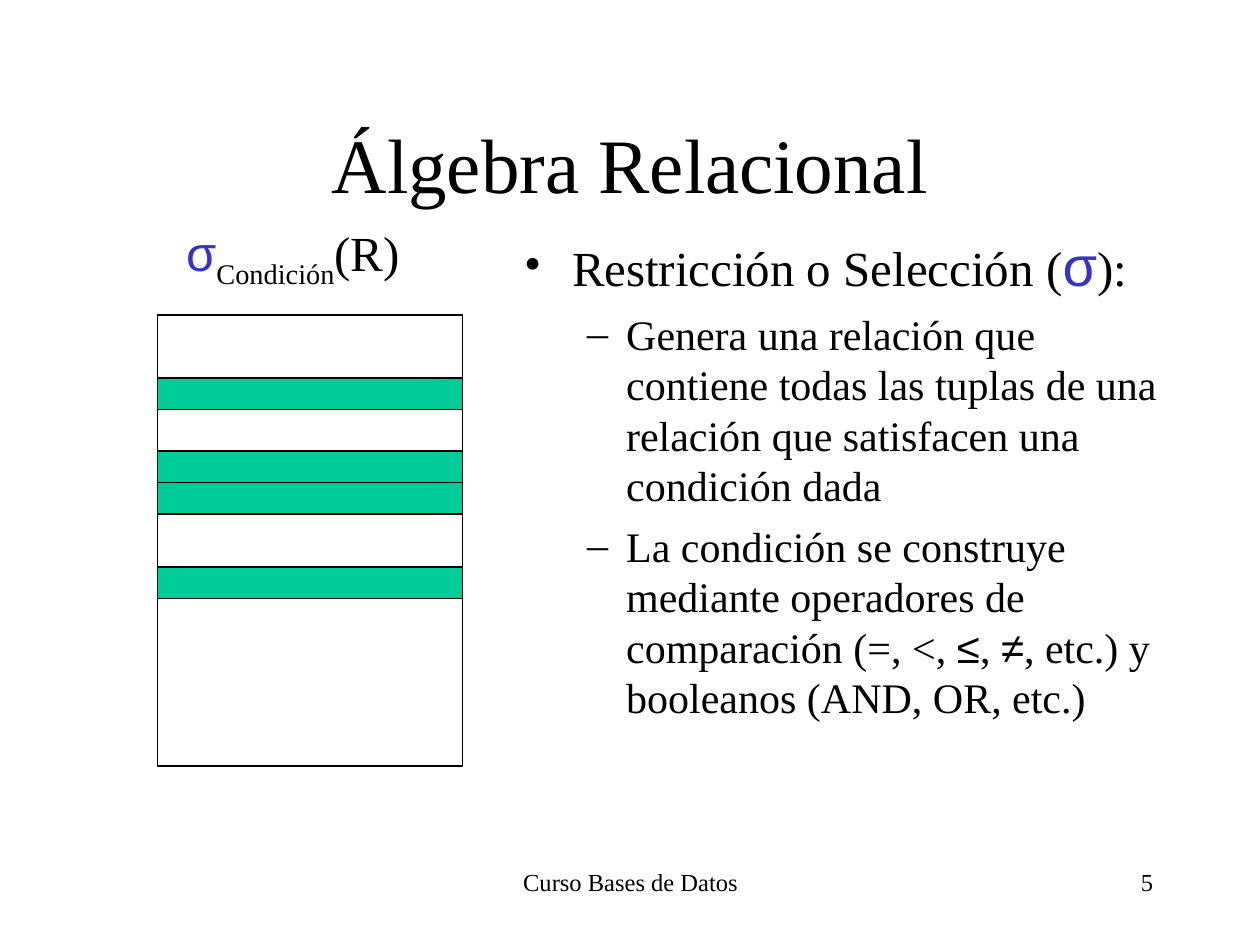
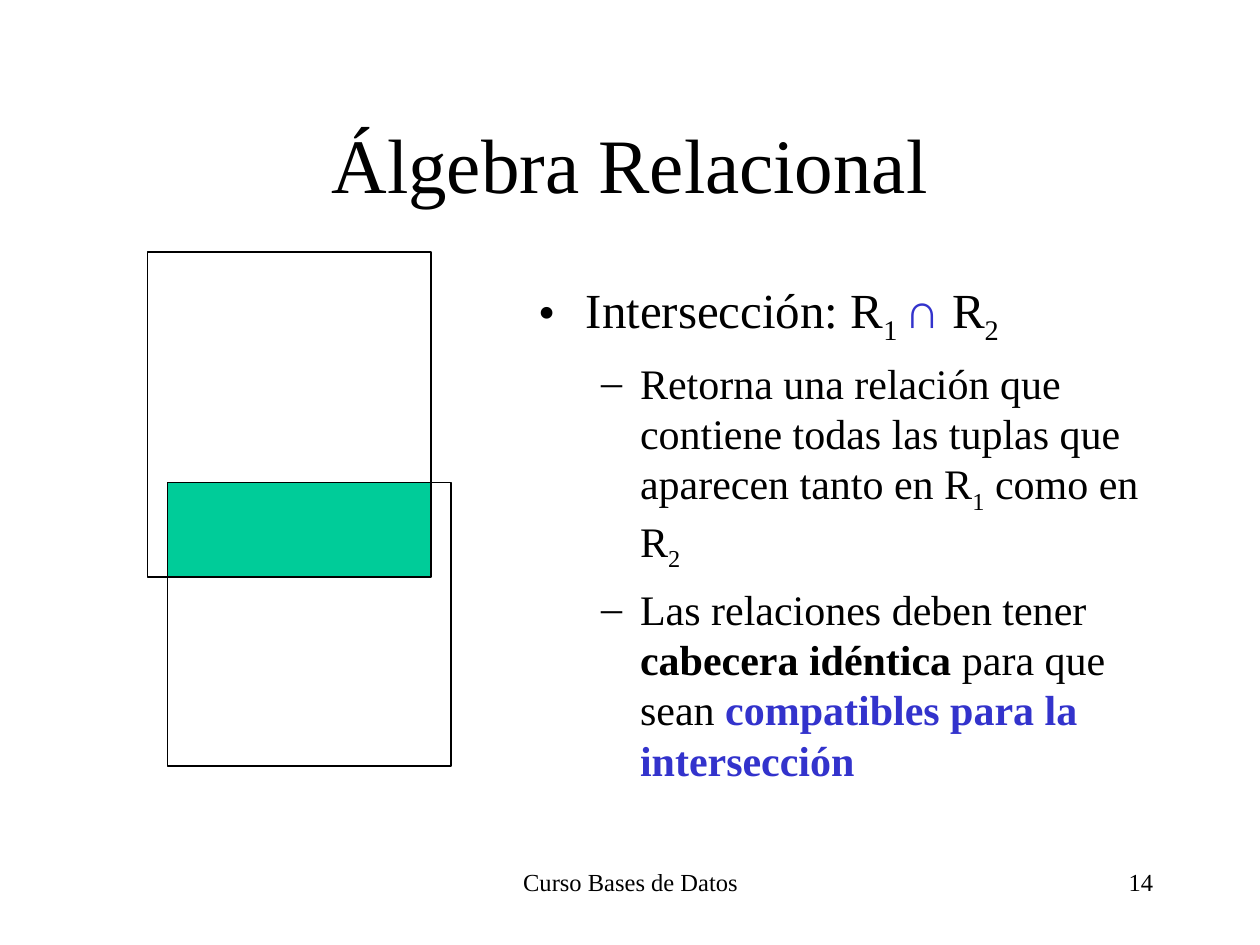
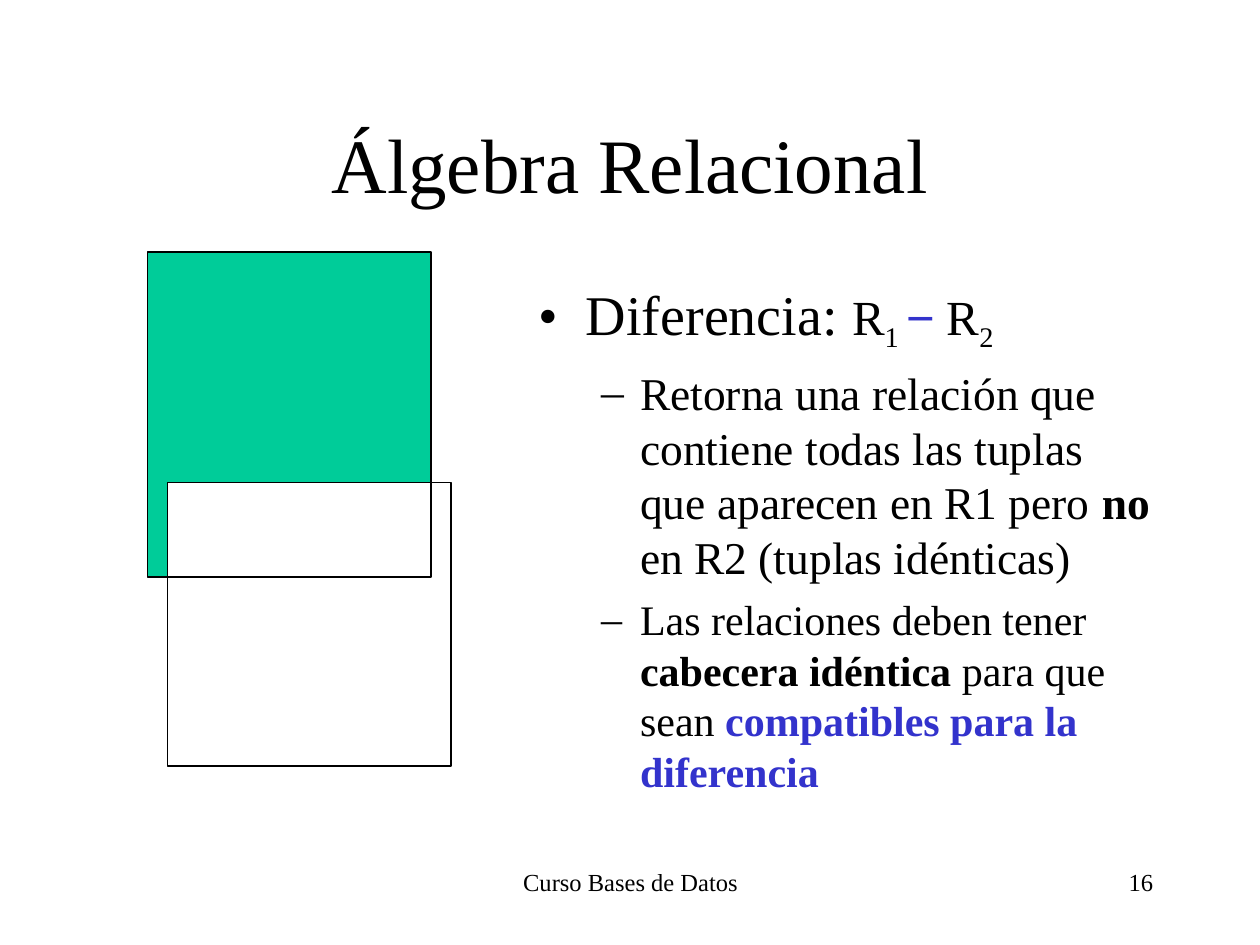
import pptx
import pptx.util
import pptx.dml.color
import pptx.enum.shapes
import pptx.enum.text
import pptx.oxml
import pptx.oxml.ns
from pptx.util import Inches

COLORS = {"ink": "000000", "blue": "3333CC", "green": "00CC99", "white": "FFFFFF"}
SERIF, SANS = "Times New Roman", "Arial"
ALIGN = pptx.enum.text.PP_ALIGN
MIDDLE = pptx.enum.text.MSO_ANCHOR.MIDDLE
FIXED = pptx.enum.text.MSO_AUTO_SIZE.NONE
RECT = pptx.enum.shapes.MSO_SHAPE.RECTANGLE
LINE = pptx.enum.shapes.MSO_CONNECTOR.STRAIGHT

# Level: bullet, text indent, hanging indent, default size
LEVELS = [("•", 0.38, -0.38, 28), ("–", 0.81, -0.31, 24)]

SYMBOL = {"font": SANS, "color": "blue"}
SUB = {"sub": True}
BOLD = {"bold": True}
KEY = {"bold": True, "color": "blue"}


def tint(name):
    return pptx.dml.color.RGBColor.from_string(COLORS[name])


def write(par, text, size=24, font=SERIF, color="ink", bold=False, sub=False):
    run = par.add_run()
    run.text = text
    run.font.size = pptx.util.Pt(size)
    run.font.name = font
    run.font.bold = bold
    run.font.color.rgb = tint(color)
    if sub:
        run._r.get_or_add_rPr().set("baseline", "-25000")


def place(shape, left, top, width, height):
    shape.left, shape.top = Inches(left), Inches(top)
    shape.width, shape.height = Inches(width), Inches(height)


def mark(par, level):
    """Give a paragraph the bullet and indents of its level."""
    sign, left, hang, _ = LEVELS[level]
    props = par._p.get_or_add_pPr()
    props.set("marL", str(Inches(left)))
    props.set("indent", str(Inches(hang)))
    for tag, inner in (("buClr", f'<a:srgbClr val="{COLORS["ink"]}"/>'),
                       ("buFont", None), ("buChar", None)):
        attr = {"buFont": f' typeface="{SERIF}"', "buChar": f' char="{sign}"'}.get(tag, "")
        ns = pptx.oxml.ns.nsdecls("a")
        props.append(pptx.oxml.parse_xml(f"<a:{tag} {ns}{attr}>{inner or ''}</a:{tag}>"))


class Deck:
    def __init__(self):
        self.prs = pptx.Presentation()
        self.prs.slide_width, self.prs.slide_height = Inches(10), Inches(7.5)
        self.slide = None

    def start(self, number):
        """Add a slide with the shared title and footers."""
        self.slide = self.prs.slides.add_slide(self.prs.slide_layouts[1])
        title = self.slide.shapes.title
        place(title, 0.75, 0.67, 8.5, 1.25)
        title.text_frame.vertical_anchor = MIDDLE
        title.text_frame.auto_size = FIXED
        par = title.text_frame.paragraphs[0]
        par.alignment = ALIGN.CENTER
        write(par, "Álgebra Relacional", size=44)
        self.label(3.42, 6.83, 3.17, 0.5, [("Curso Bases de Datos", {})], 14, ALIGN.CENTER)
        self.label(7.17, 6.83, 2.08, 0.5, [(str(number), {})], 14, ALIGN.RIGHT)

    def label(self, left, top, width, height, runs, size, align=ALIGN.LEFT):
        box = self.slide.shapes.add_textbox(
            Inches(left), Inches(top), Inches(width), Inches(height))
        box.text_frame.word_wrap = True
        par = box.text_frame.paragraphs[0]
        par.alignment = align
        for text, style in runs:
            write(par, text, **{"size": size, **style})

    def points(self, area, items):
        """Fill the body with (level, runs) items; a third value sets the size."""
        body = self.slide.placeholders[1]
        place(body, *area)
        frame = body.text_frame
        frame.auto_size = FIXED
        for i, (level, runs, *own) in enumerate(items):
            par = frame.add_paragraph() if i else frame.paragraphs[0]
            size = own[0] if own else LEVELS[level][3]
            par.level = level
            par.space_before = pptx.util.Pt(size / 4)
            mark(par, level)
            for text, style in runs:
                write(par, text, **{"size": size, **style})

    def box(self, left, top, width, height, fill=None, shapes=None):
        shape = (shapes or self.slide.shapes).add_shape(
            RECT, Inches(left), Inches(top), Inches(width), Inches(height))
        shape.shadow.inherit = False
        shape.line.color.rgb = tint("ink")
        shape.line.width = pptx.util.Pt(0.75)
        if fill:
            shape.fill.solid()
            shape.fill.fore_color.rgb = tint(fill)
        else:
            shape.fill.background()

    def line(self, x1, y1, x2, y2, shapes):
        link = shapes.add_connector(LINE, Inches(x1), Inches(y1), Inches(x2), Inches(y2))
        link.line.color.rgb = tint("ink")
        link.line.width = pptx.util.Pt(0.75)
        link._element.spPr.append(pptx.oxml.parse_xml(
            f"<a:effectLst {pptx.oxml.ns.nsdecls('a')}/>"))

    def overlap(self, first, common):
        """Draw two crossing relations, with fills for the first and the common part."""
        left, top, right, low = 1.33, 3.83, 3.42, 4.58
        self.box(1.17, 2, 2.25, 2.58, first)
        group = self.slide.shapes.add_group_shape().shapes
        self.box(left, top, 2.25, 2.25, "white", group)
        self.line(left, low, right, low, group)
        self.line(right, top, right, low, group)
        self.box(left, top, right - left, low - top, common)


def header(goal):
    return (1, [("Las relaciones deben tener ", {}), ("cabecera idéntica", BOLD),
                (" para que sean ", {}), (f"compatibles para la {goal}", KEY)])


def main():
    deck = Deck()
    area = (4.17, 2.17, 5.08, 4.5)

    deck.start(5)
    deck.points((4.06, 1.78, 5.35, 5.35), [
        (0, [("Restricción o Selección (", {}), ("σ", {**SYMBOL, "size": 32}), ("):", {})]),
        (1, [("Genera una relación que contiene todas las tuplas de una "
              "relación que satisfacen una condición dada", {})]),
        (1, [("La condición se construye mediante operadores de comparación (=, <, ", {}),
             ("≤", {"font": SANS}), (", ", {}), ("≠", {"font": SANS}),
             (", etc.) y booleanos (AND, OR, etc.)", {})]),
    ])
    deck.box(1.25, 2.5, 2.42, 3.58)
    for top in (3, 3.58, 3.83, 4.5):
        deck.box(1.25, top, 2.42, 0.25, "green")
    deck.label(1.38, 1.72, 2.44, 0.63,
               [("σ", SYMBOL), ("Condición", SUB), ("(R)", {})], 28)

    deck.start(14)
    deck.points(area, [
        (0, [("Intersección: R", {}), ("1 ", SUB), ("∩", SYMBOL), (" R", {}), ("2", SUB)]),
        (1, [("Retorna una relación que contiene todas las tuplas que aparecen "
              "tanto en R", {}), ("1", SUB), (" como en R", {}), ("2", SUB)]),
        header("intersección"),
    ])
    deck.overlap("white", "green")

    deck.start(16)
    deck.points(area, [
        (0, [("Diferencia: ", {"size": 32}), ("R", {}), ("1 ", SUB), ("−", SYMBOL),
             (" R", {}), ("2", SUB)]),
        (1, [("Retorna una relación que contiene todas las tuplas que aparecen "
              "en R1 pero ", {}), ("no", BOLD), (" en R2 (tuplas idénticas)", {})], 26),
        header("diferencia"),
    ])
    deck.overlap("green", "white")

    deck.prs.save("out.pptx")


if __name__ == "__main__":
    main()
